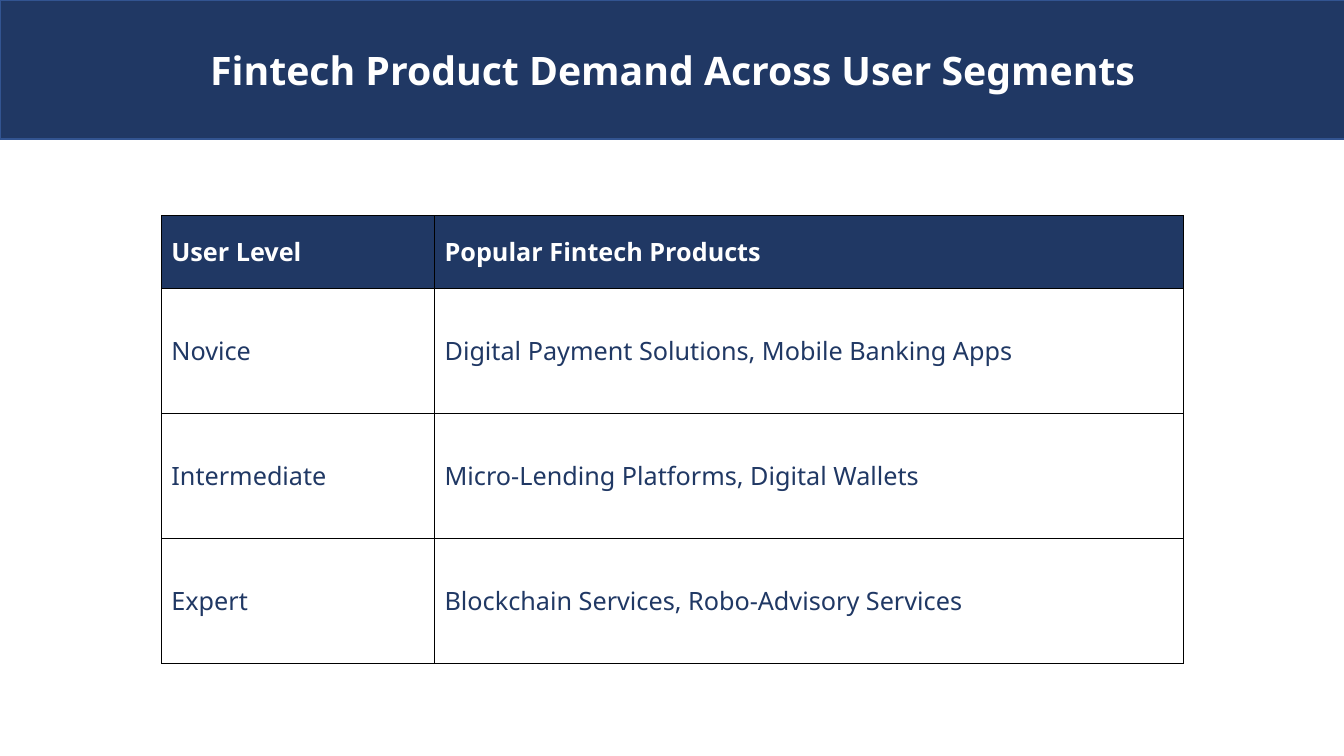
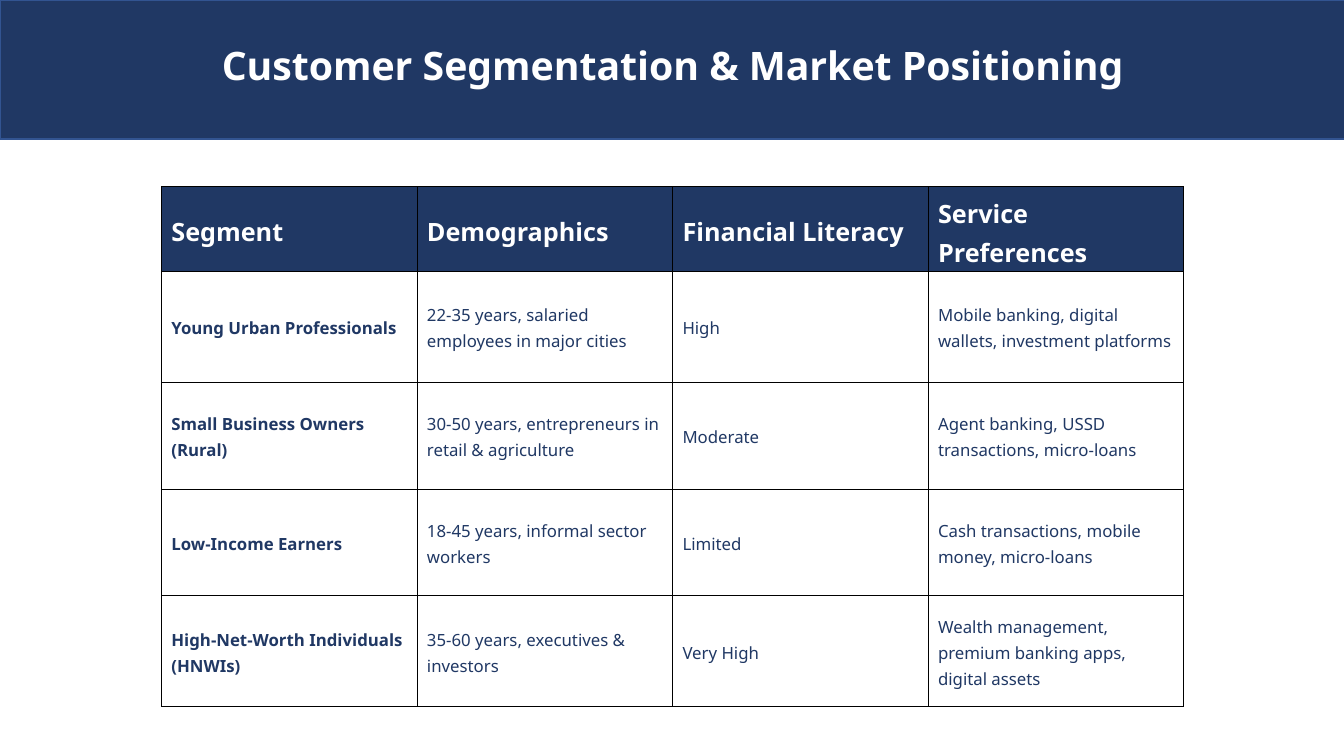
from dataclasses import dataclass

from lxml.etree import SubElement
from pptx import Presentation
from pptx.dml.color import RGBColor
from pptx.enum.shapes import MSO_SHAPE
from pptx.enum.text import MSO_ANCHOR, PP_ALIGN
from pptx.oxml.ns import qn
from pptx.util import Inches, Pt

COLORS = {"navy": "203864", "band_edge": "325491", "white": "FFFFFF", "black": "000000"}
FONT = "Noto Sans"
TABLE_LEFT = 1.6
BORDER_SIDES = ("a:lnL", "a:lnR", "a:lnT", "a:lnB")


@dataclass(frozen=True)
class Title:
    text: str
    left: float
    top: float
    width: float
    height: float


@dataclass(frozen=True)
class Grid:
    top: float
    columns: tuple[float, ...]
    heights: tuple[float, ...]
    rows: tuple[tuple[str, ...], ...]
    body_size: int = 18
    bold_first_column: bool = False
    line_spacing: float | None = None
    space_after: int | None = None


@dataclass(frozen=True)
class PageContent:
    title: Title
    grid: Grid


PAGES = (
    PageContent(
        Title("Fintech Product Demand Across User Segments", 1.67, 0.4, 10, 0.58),
        Grid(
            top=2.14,
            columns=(2.71, 7.43),
            heights=(0.72, 1.24, 1.24, 1.24),
            rows=(
                ("User Level", "Popular Fintech Products"),
                ("Novice", "Digital Payment Solutions, Mobile Banking Apps"),
                ("Intermediate", "Micro-Lending Platforms, Digital Wallets"),
                ("Expert", "Blockchain Services, Robo-Advisory Services"),
            ),
        ),
    ),
    PageContent(
        Title("Customer Segmentation & Market Positioning", 1.31, 0.44, 10.72, 0.49),
        Grid(
            top=1.85,
            columns=(10.14 / 4,) * 4,
            heights=(0.84, 1.1, 1.06, 1.06, 1.1),
            rows=(
                ("Segment", "Demographics", "Financial Literacy", "Service Preferences"),
                (
                    "Young Urban Professionals",
                    "22-35 years, salaried employees in major cities",
                    "High",
                    "Mobile banking, digital wallets, investment platforms",
                ),
                (
                    "Small Business Owners (Rural)",
                    "30-50 years, entrepreneurs in retail & agriculture",
                    "Moderate",
                    "Agent banking, USSD transactions, micro-loans",
                ),
                (
                    "Low-Income Earners",
                    "18-45 years, informal sector workers",
                    "Limited",
                    "Cash transactions, mobile money, micro-loans",
                ),
                (
                    "High-Net-Worth Individuals (HNWIs)",
                    "35-60 years, executives & investors",
                    "Very High",
                    "Wealth management, premium banking apps, digital assets",
                ),
            ),
            body_size=12,
            bold_first_column=True,
            line_spacing=1.15,
            space_after=8,
        ),
    ),
)


def rgb(name: str) -> RGBColor:
    return RGBColor.from_string(COLORS[name])


def add_span(para, text: str, size: int, color: str, bold: bool) -> None:
    span = para.add_run()
    span.text = text
    span.font.name = FONT
    span.font.size = Pt(size)
    span.font.bold = bold
    span.font.color.rgb = rgb(color)


def draw_band(page, width: float = 13.35, height: float = 1.38) -> None:
    band = page.shapes.add_shape(
        MSO_SHAPE.RECTANGLE, Inches(0), Inches(0), Inches(width), Inches(height)
    )
    band.shadow.inherit = False
    band.fill.solid()
    band.fill.fore_color.rgb = rgb("navy")
    band.line.color.rgb = rgb("band_edge")
    band.line.width = Pt(1)


def draw_title(page, title: Title) -> None:
    box = page.shapes.add_textbox(
        Inches(title.left), Inches(title.top), Inches(title.width), Inches(title.height)
    )
    frame = box.text_frame
    frame.word_wrap = True
    frame.vertical_anchor = MSO_ANCHOR.BOTTOM
    para = frame.paragraphs[0]
    para.alignment = PP_ALIGN.CENTER
    para.line_spacing = 0.9
    add_span(para, title.text, 28, "white", True)


def add_borders(cell) -> None:
    properties = cell._tc.get_or_add_tcPr()
    for side in BORDER_SIDES:
        border = SubElement(properties, qn(side), w=str(Pt(0.5)))
        fill = SubElement(border, qn("a:solidFill"))
        SubElement(fill, qn("a:srgbClr"), val=COLORS["black"])


def fill_cell(cell, text: str, grid: Grid, header: bool, bold: bool) -> None:
    add_borders(cell)
    if header:
        cell.fill.solid()
        cell.fill.fore_color.rgb = rgb("navy")
    else:
        cell.fill.background()
    cell.vertical_anchor = MSO_ANCHOR.MIDDLE
    para = cell.text_frame.paragraphs[0]
    para.line_spacing = grid.line_spacing
    if grid.space_after is not None:
        para.space_after = Pt(grid.space_after)
    add_span(para, text, 18 if header else grid.body_size, "white" if header else "navy", bold)


def draw_grid(page, grid: Grid) -> None:
    table = page.shapes.add_table(
        len(grid.rows),
        len(grid.columns),
        Inches(TABLE_LEFT),
        Inches(grid.top),
        Inches(sum(grid.columns)),
        Inches(sum(grid.heights)),
    ).table
    table.first_row = False
    table.horz_banding = False
    for column, width in zip(table.columns, grid.columns):
        column.width = Inches(width)
    for row, height in zip(table.rows, grid.heights):
        row.height = Inches(height)
    for row_index, texts in enumerate(grid.rows):
        header = row_index == 0
        for column_index, text in enumerate(texts):
            bold = header or (grid.bold_first_column and column_index == 0)
            fill_cell(table.cell(row_index, column_index), text, grid, header, bold)


def main() -> None:
    deck = Presentation()
    deck.slide_width = Inches(13.33)
    deck.slide_height = Inches(7.5)
    for content in PAGES:
        page = deck.slides.add_slide(deck.slide_layouts[6])
        draw_band(page)
        draw_title(page, content.title)
        draw_grid(page, content.grid)
    deck.save("out.pptx")


if __name__ == "__main__":
    main()
